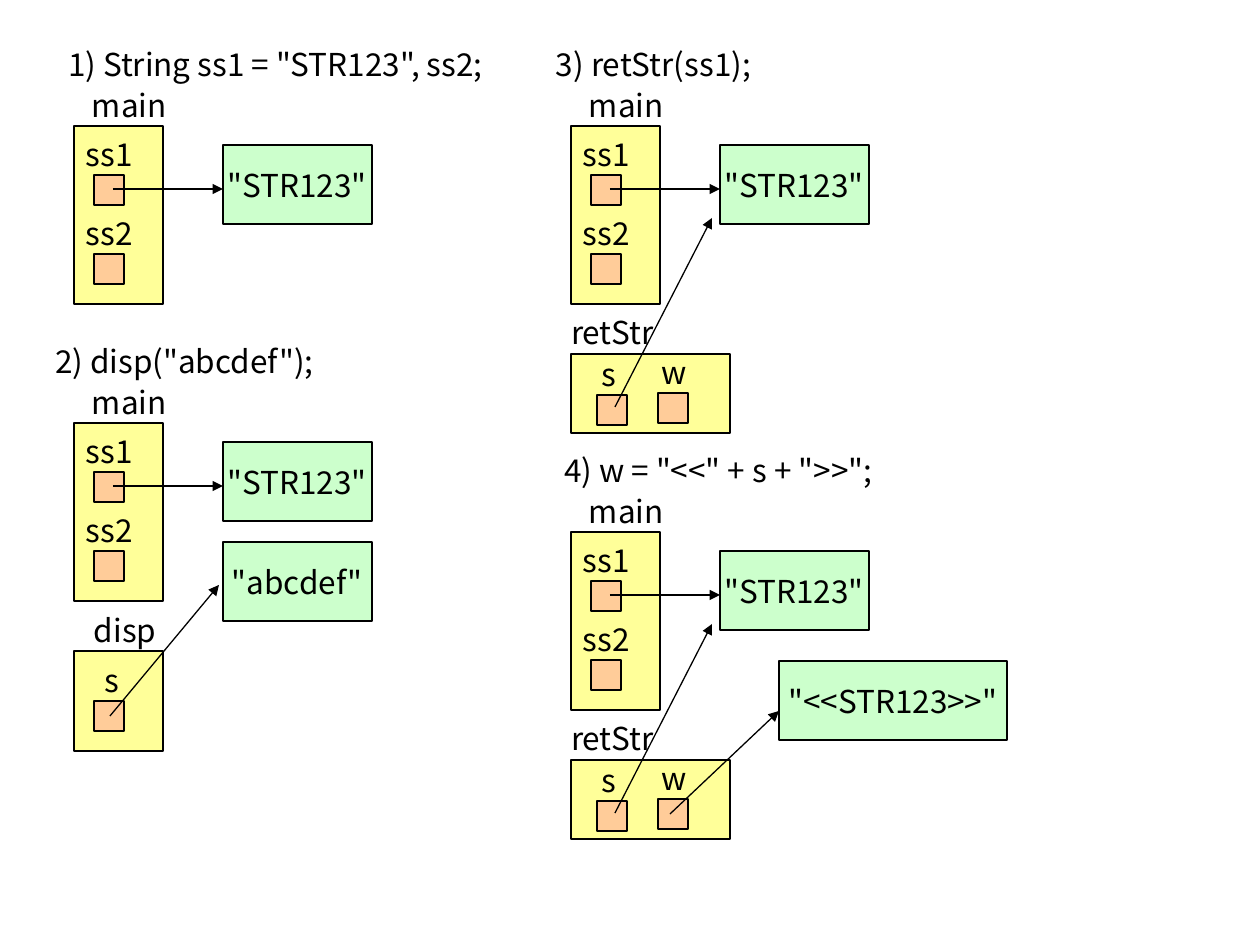
from lxml import etree
from pptx import Presentation
from pptx.dml.color import RGBColor
from pptx.enum.shapes import MSO_CONNECTOR, MSO_SHAPE
from pptx.enum.text import MSO_ANCHOR, MSO_AUTO_SIZE, PP_ALIGN
from pptx.oxml.ns import qn
from pptx.util import Pt

RECTANGLE = MSO_SHAPE.RECTANGLE
STRAIGHT = MSO_CONNECTOR.STRAIGHT
MIDDLE = MSO_ANCHOR.MIDDLE
CENTER = PP_ALIGN.CENTER
NO_AUTOSIZE = MSO_AUTO_SIZE.NONE

BLACK = RGBColor(0x00, 0x00, 0x00)
FRAME_YELLOW = RGBColor(0xFF, 0xFF, 0x99)
CELL_ORANGE = RGBColor(0xFF, 0xCC, 0x99)
STRING_GREEN = RGBColor(0xCC, 0xFF, 0xCC)

FONT = "Noto Sans CJK KR"
FONT_SIZE = Pt(18)
LINE_WIDTH = Pt(0.75)

PX_PER_INCH = 126
PAGE_WIDTH, PAGE_HEIGHT = 1260, 945
LABEL_HEIGHT = 38
CELL_SIZE = 30
STRING_WIDTH, STRING_HEIGHT = 149, 79
VARIABLE_PITCH = 79
CALL_DROP = 228  # from the top of a main frame to the frame it calls


def px(length):
    return round(length * 914400 / PX_PER_INCH)


def write(shape, text):
    text_frame = shape.text_frame
    text_frame.text = text
    text_frame.word_wrap = False
    text_frame.auto_size = NO_AUTOSIZE
    font = text_frame.paragraphs[0].runs[0].font
    font.name, font.size = FONT, FONT_SIZE
    font.color.rgb = BLACK


def add_label(page, text, left, top, width):
    box = page.shapes.add_textbox(px(left), px(top), px(width), px(LABEL_HEIGHT))
    write(box, text)
    text_frame = box.text_frame
    text_frame.margin_left = text_frame.margin_right = 0
    text_frame.margin_top = text_frame.margin_bottom = 0


def add_box(page, left, top, width, height, color):
    box = page.shapes.add_shape(RECTANGLE, px(left), px(top), px(width), px(height))
    box.shadow.inherit = False
    box.fill.solid()
    box.fill.fore_color.rgb = color
    box.line.color.rgb = BLACK
    box.line.width = LINE_WIDTH
    return box


def add_string(page, text, left, top, width=STRING_WIDTH):
    box = add_box(page, left, top, width, STRING_HEIGHT, STRING_GREEN)
    write(box, text)
    box.text_frame.vertical_anchor = MIDDLE
    box.text_frame.paragraphs[0].alignment = CENTER


def add_arrow(page, start_x, start_y, end_x, end_y):
    arrow = page.shapes.add_connector(
        STRAIGHT, px(start_x), px(start_y), px(end_x), px(end_y))
    arrow.line.color.rgb = BLACK
    arrow.line.width = LINE_WIDTH
    etree.SubElement(arrow.line._get_or_add_ln(), qn("a:tailEnd"), type="triangle")
    etree.SubElement(arrow._element.spPr, qn("a:effectLst"))


def add_variable(page, name, left, top, width, cell_shift):
    """Name with its memory cell below, the cell shifted sideways."""
    add_label(page, name, left, top, width)
    add_box(page, left + cell_shift, top + 40, CELL_SIZE, CELL_SIZE, CELL_ORANGE)


def add_main(page, left, top, title, title_shift, title_width):
    """Step title, main frame with two variables, and the string ss1 refers to."""
    add_label(page, title, left + title_shift, top - 81, title_width)
    add_label(page, "main", left + 18, top - 40, 74)
    add_box(page, left, top, 89, 178, FRAME_YELLOW)
    for row, name in enumerate(("ss1", "ss2")):
        add_variable(page, name, left + 12, top + 9 + row * VARIABLE_PITCH, 48, 8)
    add_string(page, '"STR123"', left + 149, top + 19)
    add_arrow(page, left + 39, top + 63, left + 149, top + 63)


def add_disp(page, left, top):
    add_label(page, "disp", left + 20, top - 40, 63)
    add_box(page, left, top, 89, 100, FRAME_YELLOW)
    add_variable(page, "s", left + 31, top + 10, 15, -11)
    add_string(page, '"abcdef"', left + 149, top - 109)
    add_arrow(page, left + 36, top + 65, left + 145, top - 66)


def add_ret_str(page, left, top):
    add_label(page, "retStr", left, top - 41, 84)
    add_box(page, left, top, 159, 79, FRAME_YELLOW)
    add_variable(page, "w", left + 91, top - 1, 25, -4)
    add_variable(page, "s", left + 31, top + 1, 15, -5)
    add_arrow(page, left + 44, top + 53, left + 141, top - 136)


def add_result(page, left, top):
    """New string that w refers to, placed from the retStr frame."""
    add_string(page, '"<<STR123>>"', left + 208, top - 99, 228)
    add_arrow(page, left + 99, top + 54, left + 208, top - 49)


def main():
    deck = Presentation()
    deck.slide_width, deck.slide_height = px(PAGE_WIDTH), px(PAGE_HEIGHT)
    page = deck.slides.add_slide(deck.slide_layouts[6])

    left_column, right_column = 74, 571
    first_row, disp_row, result_row = 126, 423, 532

    add_main(page, left_column, first_row,
             '1) String ss1 = "STR123", ss2;', -6, 422)
    add_main(page, left_column, disp_row, '2) disp("abcdef");', -19, 260)
    add_disp(page, left_column, disp_row + CALL_DROP)
    add_main(page, right_column, first_row, "3) retStr(ss1);", -15, 195)
    add_ret_str(page, right_column, first_row + CALL_DROP)
    add_main(page, right_column, result_row, '4) w = "<<" + s + ">>";', -7, 311)
    add_ret_str(page, right_column, result_row + CALL_DROP)
    add_result(page, right_column, result_row + CALL_DROP)

    deck.save("out.pptx")


if __name__ == "__main__":
    main()
